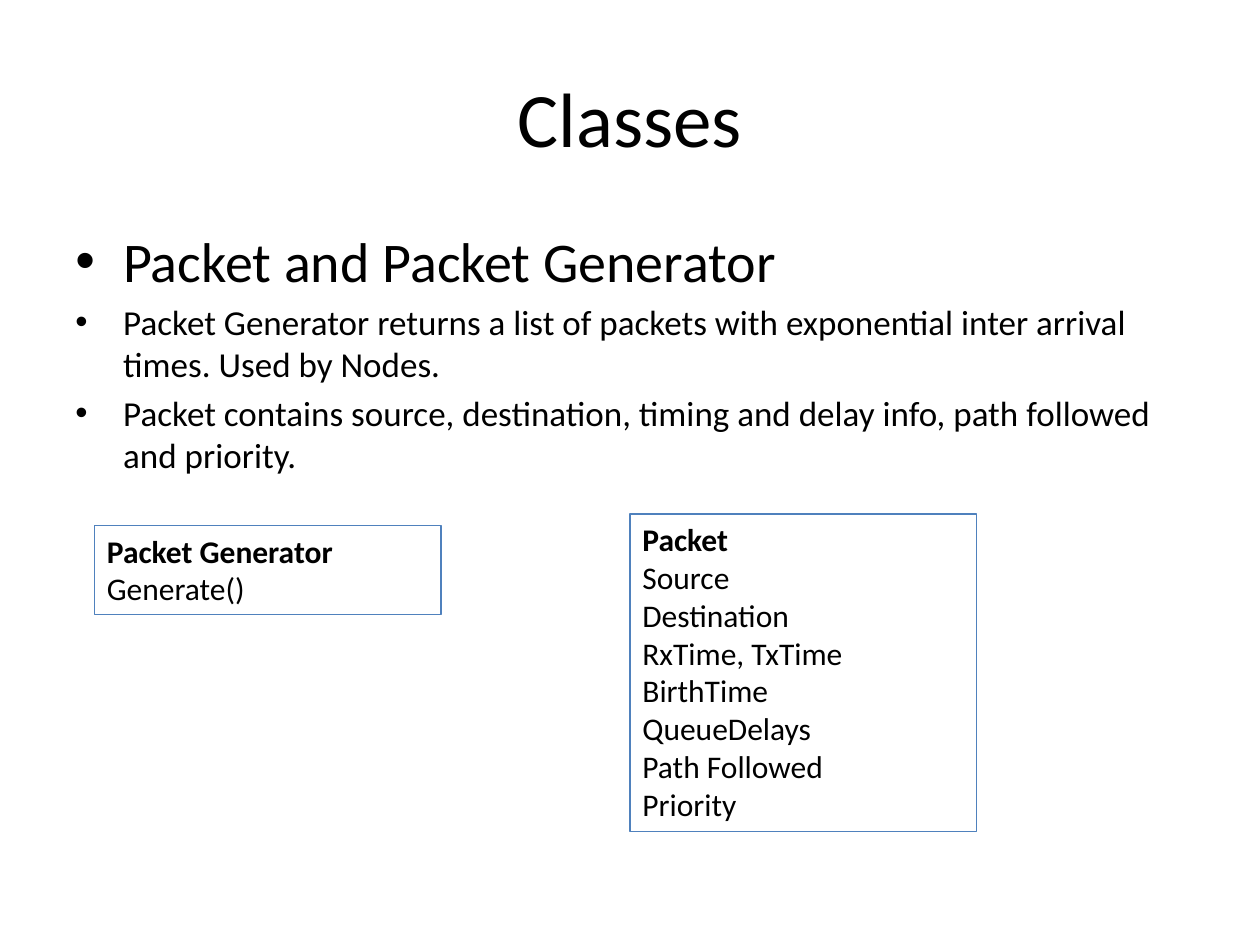
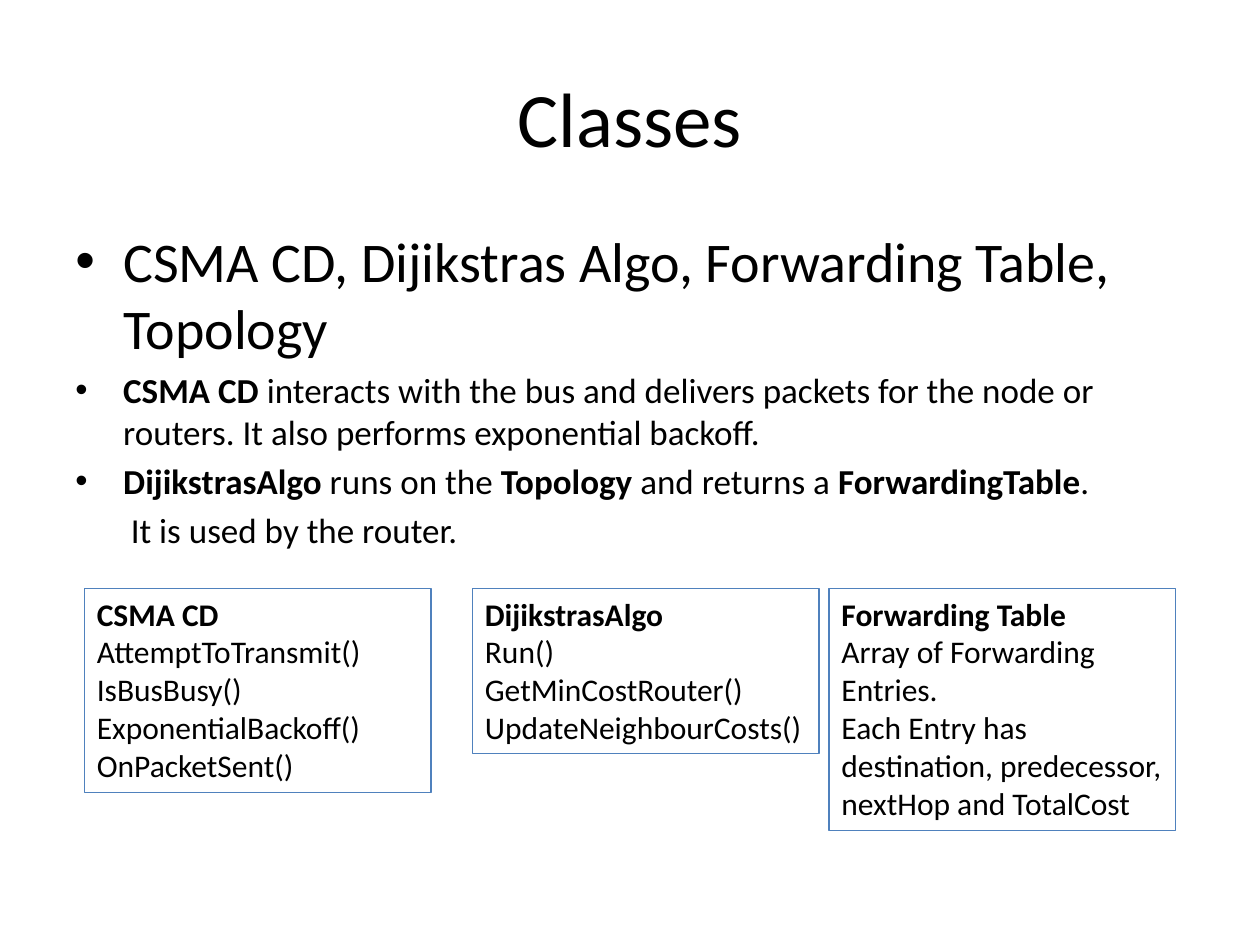
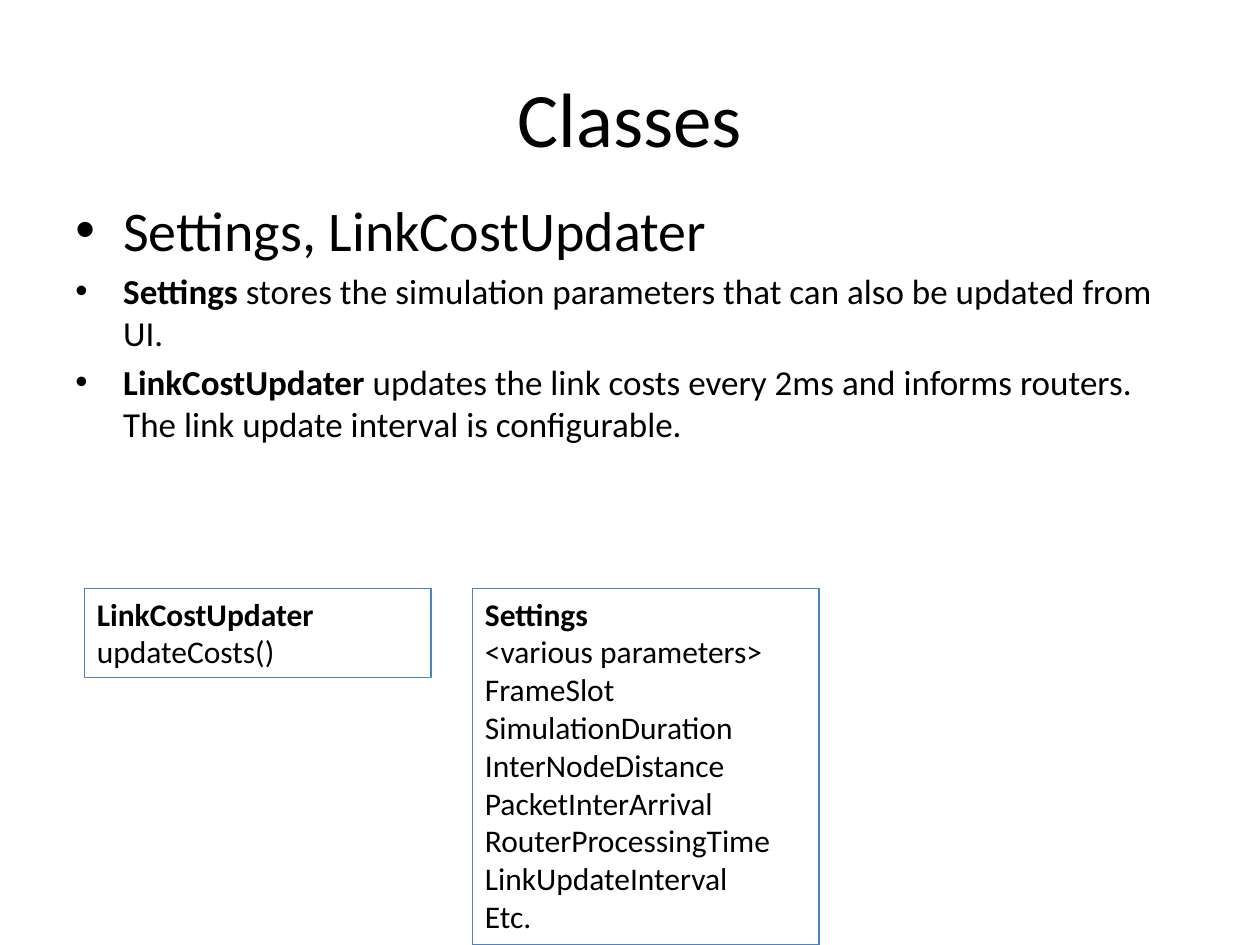
"""Builds three slides that describe the classes of a network simulator."""

from dataclasses import dataclass
from typing import Any

from lxml.etree import SubElement
from pptx import Presentation
from pptx.dml.color import RGBColor
from pptx.enum.shapes import MSO_SHAPE
from pptx.enum.text import MSO_ANCHOR, MSO_AUTO_SIZE, PP_ALIGN
from pptx.oxml.ns import qn
from pptx.slide import Slide
from pptx.util import Inches, Pt


@dataclass(frozen=True)
class Theme:
    font: str = "Calibri"
    text: RGBColor = RGBColor(0x00, 0x00, 0x00)
    outline: RGBColor = RGBColor(0x4F, 0x81, 0xBD)
    outline_width: Pt = Pt(0.75)
    title_size: Pt = Pt(44)
    heading_size: Pt = Pt(32)
    body_size: Pt = Pt(20)
    member_size: Pt = Pt(18)
    body_gap: Pt = Pt(4)


@dataclass(frozen=True)
class Bullet:
    text: str
    size: Pt = Theme.body_size
    indent: float = 0.38
    marker: str = "•"


@dataclass(frozen=True)
class ClassBox:
    name: str
    members: tuple[str, ...]
    left: float
    top: float
    height: float


@dataclass(frozen=True)
class ClassSlide:
    bullets: tuple[Bullet, ...]
    boxes: tuple[ClassBox, ...]
    body_top: float = 1.75


THEME = Theme()
TITLE = "Classes"
BOX_WIDTH = 2.75
ROW_TOP = 4.67
COLUMNS = (0.67, 3.75, 6.58)

SLIDES = (
    ClassSlide(
        (
            Bullet("Packet and Packet Generator", THEME.heading_size),
            Bullet("Packet Generator returns a list of packets with exponential "
                   "inter arrival times. Used by Nodes."),
            Bullet("Packet contains source, destination, timing and delay info, "
                   "path followed and priority."),
        ),
        (
            ClassBox("Packet Generator", ("Generate()",), 0.75, 4.17, 0.71),
            ClassBox("Packet",
                     ("Source", "Destination", "RxTime, TxTime", "BirthTime",
                      "QueueDelays", "Path Followed", "Priority"),
                     5, 4.08, 2.52),
        ),
    ),
    ClassSlide(
        (
            Bullet("CSMA CD, Dijikstras Algo, Forwarding Table, Topology",
                   THEME.heading_size),
            Bullet("**CSMA CD **interacts with the bus and delivers packets for the "
                   "node or routers. It also performs exponential backoff."),
            Bullet("**DijikstrasAlgo **runs on the **Topology** and returns a "
                   "**ForwardingTable**."),
            Bullet("It is used by the router.", indent=0.44, marker=""),
        ),
        (
            ClassBox("CSMA CD",
                     ("AttemptToTransmit()", "IsBusBusy()",
                      "ExponentialBackoff()", "OnPacketSent()"),
                     COLUMNS[0], ROW_TOP, 1.62),
            ClassBox("DijikstrasAlgo",
                     ("Run()", "GetMinCostRouter()", "UpdateNeighbourCosts()"),
                     COLUMNS[1], ROW_TOP, 1.31),
            ClassBox("Forwarding Table",
                     ("Array of Forwarding Entries.",
                      "Each Entry has destination, predecessor, nextHop and TotalCost"),
                     COLUMNS[2], ROW_TOP, 1.92),
        ),
    ),
    ClassSlide(
        (
            Bullet("Settings, LinkCostUpdater", THEME.heading_size),
            Bullet("**Settings** stores the simulation parameters that can also be "
                   "updated from UI."),
            Bullet("**LinkCostUpdater** updates the link costs every 2ms and informs "
                   "routers. The link update interval is configurable."),
        ),
        (
            ClassBox("LinkCostUpdater", ("updateCosts()",), COLUMNS[0], ROW_TOP, 0.71),
            ClassBox("Settings",
                     ("<various parameters>", "FrameSlot", "SimulationDuration",
                      "InterNodeDistance", "PacketInterArrival",
                      "RouterProcessingTime", "LinkUpdateInterval", "Etc."),
                     COLUMNS[1], ROW_TOP, 2.83),
        ),
        body_top=1.5,
    ),
)


def apply_format(target: Any, values: dict[str, Any]) -> None:
    """Set each named attribute of the target."""
    for name, value in values.items():
        setattr(target, name, value)


def add_marked_text(paragraph: Any, text: str, size: Pt) -> None:
    """Add runs, with the parts between double asterisks in bold."""
    for index, part in enumerate(text.split("**")):
        if part:
            run = paragraph.add_run()
            run.text = part
            apply_format(run.font, {"name": THEME.font, "size": size,
                                    "bold": index % 2 == 1})
            run.font.color.rgb = THEME.text


def get_paragraph(frame: Any, index: int) -> Any:
    """Return the first paragraph, or a new one for later indexes."""
    return frame.add_paragraph() if index else frame.paragraphs[0]


def set_bullet(paragraph: Any, bullet: Bullet) -> None:
    """Give the paragraph its indent and its marker."""
    properties = paragraph._p.get_or_add_pPr()
    properties.set("marL", str(Inches(bullet.indent)))
    properties.set("indent", str(-Inches(bullet.indent) if bullet.marker else 0))
    if bullet.marker:
        SubElement(properties, qn("a:buFont"), typeface="Arial")
        SubElement(properties, qn("a:buChar"), char=bullet.marker)
    else:
        SubElement(properties, qn("a:buNone"))


def add_title(slide: Slide) -> None:
    """Place and format the title placeholder."""
    title = slide.shapes.title
    apply_format(title, {"left": Inches(0.5), "top": Inches(0.3),
                         "width": Inches(9), "height": Inches(1.25)})
    frame = title.text_frame
    frame.vertical_anchor = MSO_ANCHOR.MIDDLE
    frame.paragraphs[0].alignment = PP_ALIGN.CENTER
    add_marked_text(frame.paragraphs[0], TITLE, THEME.title_size)


def add_body(slide: Slide, bullets: tuple[Bullet, ...], top: float) -> None:
    """Add the bulleted description of the classes."""
    body = slide.shapes.add_textbox(Inches(0.5), Inches(top), Inches(9), Inches(4.95))
    frame = body.text_frame
    frame.word_wrap = True
    for index, bullet in enumerate(bullets):
        paragraph = get_paragraph(frame, index)
        set_bullet(paragraph, bullet)
        if index:
            paragraph.space_before = THEME.body_gap
        add_marked_text(paragraph, bullet.text, bullet.size)


def add_class_box(slide: Slide, box: ClassBox) -> None:
    """Add an outlined box with a class name and its members."""
    shape = slide.shapes.add_shape(
        MSO_SHAPE.RECTANGLE, Inches(box.left), Inches(box.top),
        Inches(BOX_WIDTH), Inches(box.height))
    shape.shadow.inherit = False
    shape.fill.background()
    shape.line.color.rgb = THEME.outline
    shape.line.width = THEME.outline_width
    frame = shape.text_frame
    apply_format(frame, {"word_wrap": True, "vertical_anchor": MSO_ANCHOR.TOP,
                         "auto_size": MSO_AUTO_SIZE.SHAPE_TO_FIT_TEXT})
    for index, text in enumerate((f"**{box.name}**", *box.members)):
        paragraph = get_paragraph(frame, index)
        paragraph.alignment = PP_ALIGN.LEFT
        add_marked_text(paragraph, text, THEME.member_size)


def main() -> None:
    """Build and save the presentation."""
    presentation = Presentation()
    apply_format(presentation, {"slide_width": Inches(10), "slide_height": Inches(7.5)})
    for content in SLIDES:
        slide = presentation.slides.add_slide(presentation.slide_layouts[5])
        add_title(slide)
        add_body(slide, content.bullets, content.body_top)
        for box in content.boxes:
            add_class_box(slide, box)
    presentation.save("out.pptx")


if __name__ == "__main__":
    main()
